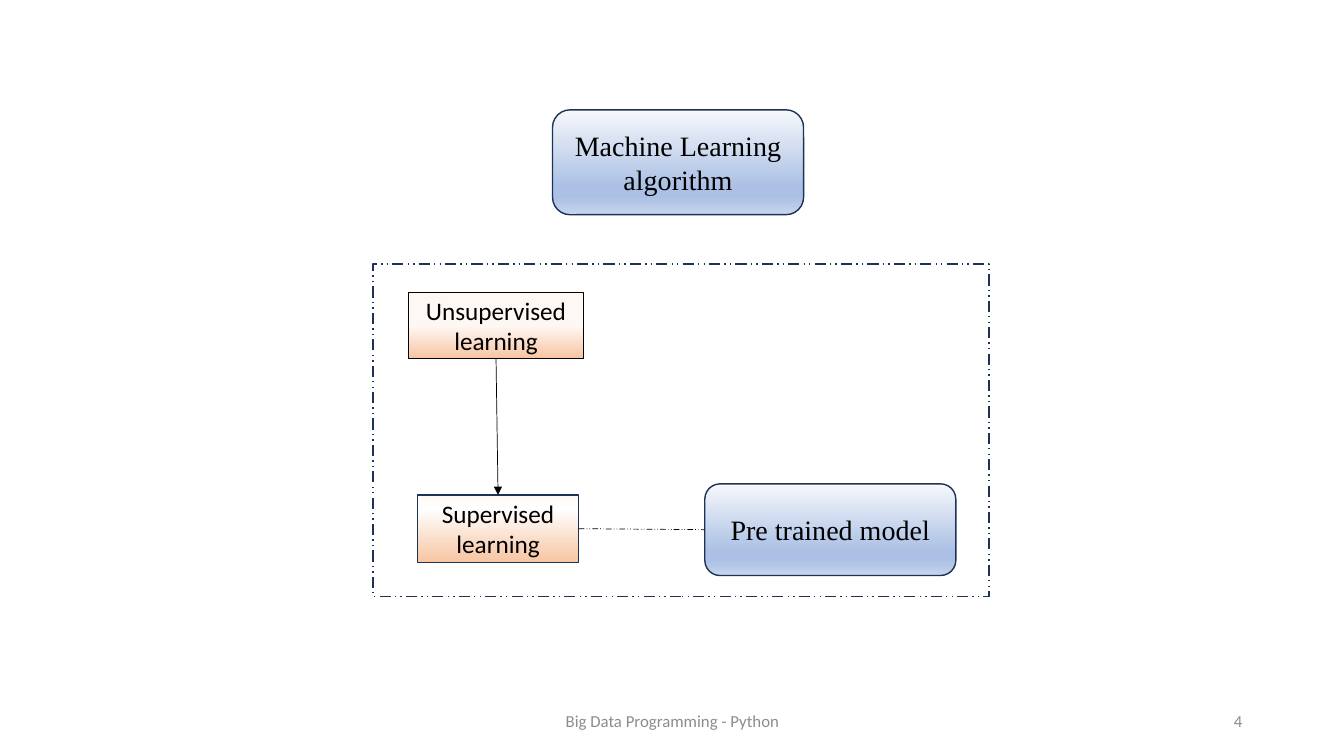
from dataclasses import dataclass

from lxml.etree import SubElement
from pptx import Presentation
from pptx.dml.color import RGBColor
from pptx.enum.dml import MSO_LINE
from pptx.enum.shapes import MSO_CONNECTOR, MSO_SHAPE
from pptx.enum.text import MSO_ANCHOR, PP_ALIGN
from pptx.oxml.ns import qn
from pptx.util import Pt

PX = 9144  # one px is a hundredth of an inch
BOTTOM, RIGHT, TOP, LEFT = 2, 3, 0, 1  # connection sites of a box


@dataclass(frozen=True)
class Theme:
    ink: str = "000000"
    navy: str = "1E3256"
    grey: str = "8C8C8C"
    blue: tuple = ((0, "F6F8FC"), (74, "ABC0E4"), (83, "ABC0E4"), (100, "C7D5ED"))
    peach: tuple = ((50, "FEF8F5"), (95, "F8C9AA"), (98, "F7C5A2"), (100, "F7C5A2"))
    light_peach: tuple = ((0, "FEF8F5"), (20, "FFFFFF"), (100, "F7C5A2"))
    serif: str = "Times New Roman"
    sans: str = "Calibri"
    model_size: int = 20
    step_size: int = 18
    footer_size: int = 12
    outline: float = 1
    thin: float = 0.5


THEME = Theme()


def emu(*lengths):
    return [length * PX for length in lengths]


def write(shape, text, *, size, font=THEME.sans, color=THEME.ink, align=PP_ALIGN.CENTER):
    frame = shape.text_frame
    frame.word_wrap = True
    frame.vertical_anchor = MSO_ANCHOR.MIDDLE
    paragraph = frame.paragraphs[0]
    paragraph.alignment = align
    run = paragraph.add_run()
    run.text = text
    run.font.size = Pt(size)
    run.font.name = font
    run.font.color.rgb = RGBColor.from_string(color)


def set_line(line, color, width, dash=None):
    line.color.rgb = RGBColor.from_string(color)
    line.width = Pt(width)
    if dash is not None:
        line.dash_style = dash


def set_gradient(shape, stops):
    shape.fill.gradient()
    shape.fill.gradient_angle = 270  # top to bottom
    stop_list = shape.element.spPr.find(".//" + qn("a:gsLst"))
    for stop in list(stop_list):
        stop_list.remove(stop)
    for percent, color in stops:
        stop = SubElement(stop_list, qn("a:gs"), pos=str(percent * 1000))
        SubElement(stop, qn("a:srgbClr"), val=color)


def add_box(slide, box, kind=MSO_SHAPE.RECTANGLE, stops=None, line=THEME.navy, dash=None):
    shape = slide.shapes.add_shape(kind, *emu(*box))
    shape.shadow.inherit = False
    if stops:
        set_gradient(shape, stops)
    else:
        shape.fill.background()
    set_line(shape.line, line, THEME.outline, dash)
    return shape


def add_model(slide, box, text):
    model = add_box(slide, box, MSO_SHAPE.ROUNDED_RECTANGLE, THEME.blue)
    write(model, text, size=THEME.model_size, font=THEME.serif)
    return model


def add_step(slide, box, text, stops, line):
    step = add_box(slide, box, stops=stops, line=line)
    write(step, text, size=THEME.step_size)
    return step


def add_link(slide, start, start_site, end, end_site, dash=None, arrow=False):
    link = slide.shapes.add_connector(MSO_CONNECTOR.STRAIGHT, 0, 0, 0, 0)
    link.begin_connect(start, start_site)
    link.end_connect(end, end_site)
    set_line(link.line, THEME.ink, THEME.thin, dash)
    properties = link.element.spPr
    if arrow:
        SubElement(properties.find(qn("a:ln")), qn("a:tailEnd"), type="triangle")
    SubElement(properties, qn("a:effectLst"))


def add_learning_region(slide, box):
    left, top, _, _ = box

    def inside(x, y, width, height):
        return left + x, top + y, width, height

    # Model and learning steps
    pre_trained = add_model(slide, inside(329, 218, 249, 91), "Pre trained model")
    unsupervised = add_step(slide, inside(35, 28, 174, 66), "Unsupervised learning",
                            THEME.peach, THEME.ink)
    supervised = add_step(slide, inside(44, 229, 160, 67), "Supervised learning",
                          THEME.light_peach, THEME.navy)
    # Links between them
    add_link(slide, supervised, RIGHT, pre_trained, LEFT, dash=MSO_LINE.DASH_DOT_DOT)
    add_link(slide, unsupervised, BOTTOM, supervised, TOP, arrow=True)
    # Dashed frame
    add_box(slide, box, dash=MSO_LINE.DASH_DOT_DOT)


def add_footer(slide, box):
    left, top, width, height = box
    number_width = 300
    parts = (
        ("Big Data Programming - Python", left, 450, PP_ALIGN.CENTER),
        ("4", left + width - number_width, number_width, PP_ALIGN.RIGHT),
    )
    for text, part_left, part_width, align in parts:
        label = slide.shapes.add_textbox(*emu(part_left, top, part_width, height))
        write(label, text, size=THEME.footer_size, color=THEME.grey, align=align)


def main():
    deck = Presentation()
    deck.slide_width, deck.slide_height = emu(1333, 750)
    slide = deck.slides.add_slide(deck.slide_layouts[6])
    add_model(slide, (548, 109, 249, 104), "Machine Learning algorithm")
    add_learning_region(slide, (370, 262, 611, 330))
    add_footer(slide, (442, 695, 800, 40))
    deck.save("out.pptx")


if __name__ == "__main__":
    main()
